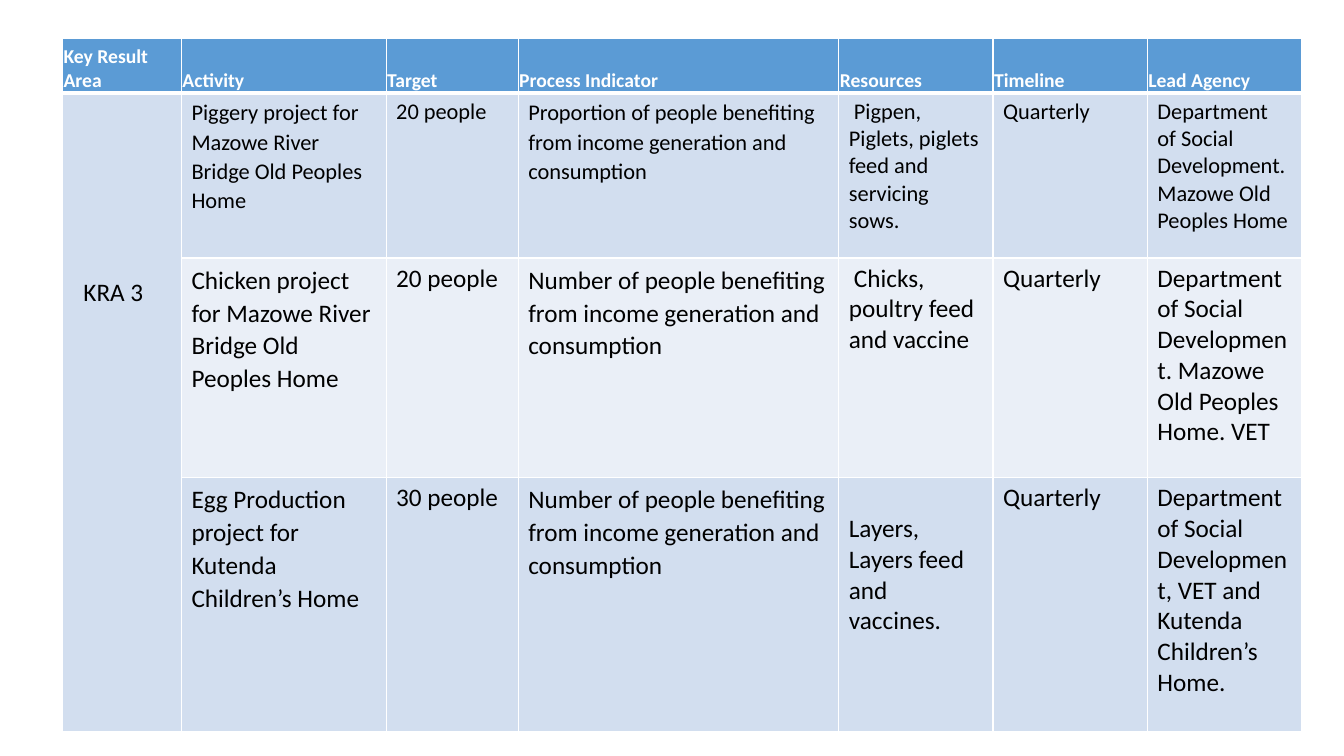
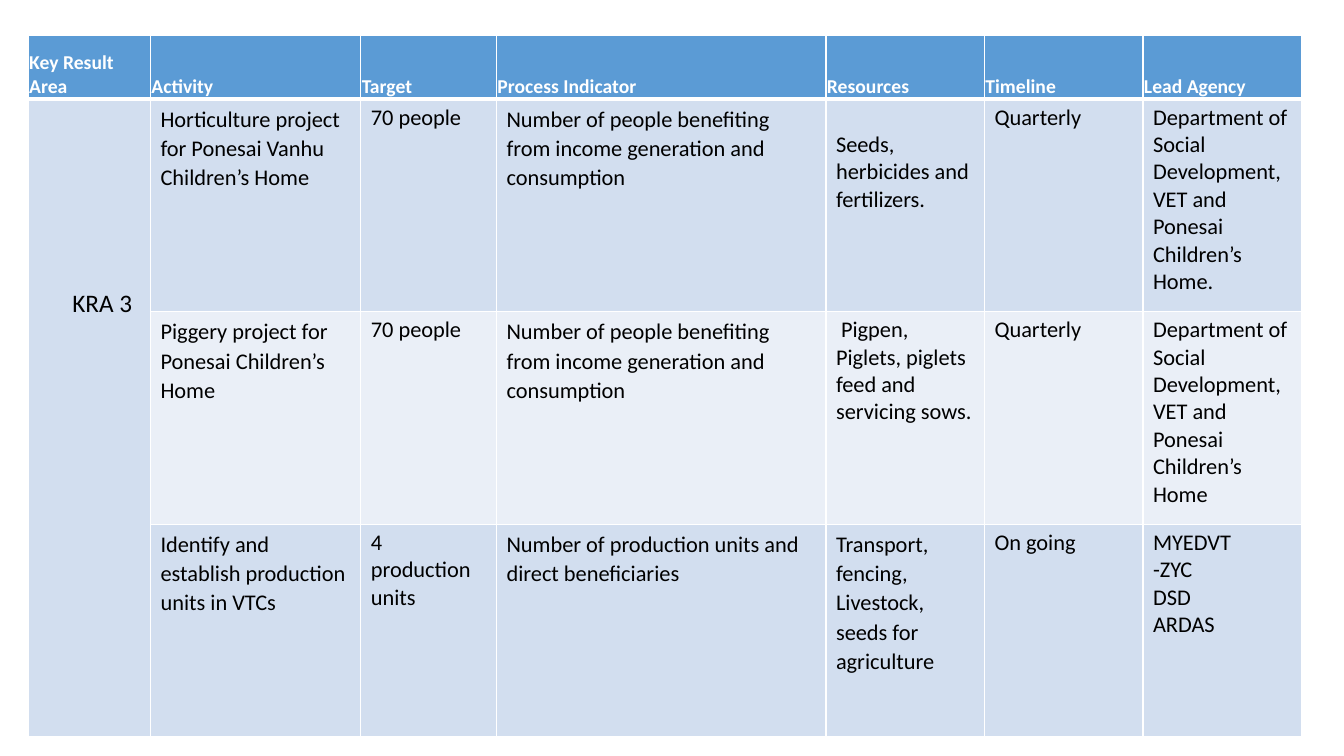
from lxml import etree
from pptx import Presentation
from pptx.dml.color import RGBColor
from pptx.enum.text import MSO_ANCHOR
from pptx.oxml.ns import qn
from pptx.util import Inches, Pt

BOTTOM = MSO_ANCHOR.BOTTOM
SLIDE_W, SLIDE_H = 13.33, 7.5
FONT = "Calibri"
COLORS = {"header": "5B9BD5", "band": "D2DEEF", "light": "EAEFF7",
          "white": "FFFFFF", "black": "000000"}
HEADERS = ["Key Result Area", "Activity", "Target", "Process Indicator",
           "Resources", "Timeline", "Lead Agency"]
COLUMN_WEIGHTS = [1.18, 2.03, 1.31, 3.18, 1.53, 1.53, 1.53]
LOOSE_COLUMNS = {1, 3}
RESOURCES = 4
BENEFIT = "Number of people benefiting from income generation and consumption"
PIGS = "Pigpen, Piglets, piglets feed and servicing sows."

PLANS = [
    {
        "left": 0.62, "top": 0.38, "width": 12.29,
        "heights": [0.54, 1.64, 2.18, 2.52],
        "label": (0.73, 2.69, 0.94, 0.4),
        "rows": [
            {"size": 16, "indent": True, "texts": [
                "Piggery project for Mazowe River Bridge Old Peoples Home",
                "20 people",
                "Proportion of people benefiting from income generation and consumption",
                PIGS, "Quarterly",
                "Department of Social Development. Mazowe Old Peoples Home"]},
            {"size": 18, "indent": True, "texts": [
                "Chicken project for Mazowe River Bridge Old Peoples Home",
                "20 people", BENEFIT, "Chicks, poultry feed and vaccine", "Quarterly",
                "Department of Social Development. Mazowe Old Peoples Home. VET"]},
            {"size": 18, "drop": True, "texts": [
                "Egg Production project for Kutenda Children’s Home",
                "30 people", BENEFIT, "Layers, Layers feed and vaccines.", "Quarterly",
                "Department of Social Development, VET and Kutenda Children’s Home."]},
        ],
    },
    {
        "left": 0.28, "top": 0.35, "width": 12.63,
        "heights": [0.63, 2.11, 2.11, 2.11],
        "label": (0.62, 2.8, 0.87, 0.4),
        "rows": [
            {"size": 16, "drop": True, "texts": [
                "Horticulture project for Ponesai Vanhu Children’s Home",
                "70 people", BENEFIT, "Seeds, herbicides and fertilizers.", "Quarterly",
                "Department of Social Development, VET and Ponesai Children’s Home."]},
            {"size": 16, "indent": True, "texts": [
                "Piggery project for Ponesai Children’s Home",
                "70 people", BENEFIT, PIGS, "Quarterly",
                "Department of Social Development, VET and Ponesai Children’s Home"]},
            {"size": 16, "loose": True, "texts": [
                "Identify and establish production units in VTCs",
                "4 production units",
                "Number of production units and direct beneficiaries",
                "Transport, fencing, Livestock, seeds for agriculture", "On going",
                "MYEDVT\n-ZYC\nDSD\nARDAS"]},
        ],
    },
]


def rgb(name):
    return RGBColor.from_string(COLORS[name])


def write(tf, text, size, color="black", bold=False, loose=False):
    tf.text = text
    for p in tf.paragraphs:
        p.font.name, p.font.size, p.font.bold = FONT, Pt(size), bold
        p.font.color.rgb = rgb(color)
        if loose:
            p.line_spacing, p.space_after = 1.07, Pt(8)


def set_borders(cell, top=1, bottom=1):
    tcPr = cell._tc.get_or_add_tcPr()
    widths = {"a:lnL": 1, "a:lnR": 1, "a:lnT": top, "a:lnB": bottom}
    for i, (tag, width) in enumerate(widths.items()):
        ln = etree.Element(qn(tag), w=str(Pt(width)))
        fill = etree.SubElement(ln, qn("a:solidFill"))
        etree.SubElement(fill, qn("a:srgbClr"), val=COLORS["white"])
        tcPr.insert(i, ln)


def style_cell(cell, row):
    color = "header" if row == 0 else "band" if row % 2 else "light"
    cell.fill.solid()
    cell.fill.fore_color.rgb = rgb(color)
    set_borders(cell, top=3 if row == 1 else 1, bottom=3 if row == 0 else 1)


def fill_header(table):
    for cell, text in zip(table.rows[0].cells, HEADERS):
        write(cell.text_frame, text, 14, "white", True)
        cell.vertical_anchor = BOTTOM
        cell.margin_left = cell.margin_top = cell.margin_right = Inches(0.01)
        cell.margin_bottom = 0


def fill_row(table, row, data):
    size = data["size"]
    for col, text in enumerate(data["texts"], 1):
        cell = table.cell(row, col)
        resources = col == RESOURCES
        loose = col in LOOSE_COLUMNS or (resources and data.get("loose", False))
        write(cell.text_frame, text, size, loose=loose)
        if resources and data.get("indent"):
            pPr = cell.text_frame.paragraphs[0]._p.get_or_add_pPr()
            pPr.set("indent", str(Inches(0.05)))
        if resources and data.get("drop"):
            cell.margin_top = Inches(0.05) + Pt(size * 1.22)


def add_plan_table(s, plan):
    heights = plan["heights"]
    frame = s.shapes.add_table(
        len(heights), len(HEADERS), Inches(plan["left"]), Inches(plan["top"]),
        Inches(plan["width"]), Inches(sum(heights)))
    table = frame.table
    table.horz_banding = False
    for column, weight in zip(table.columns, COLUMN_WEIGHTS):
        column.width = Inches(plan["width"] * weight / sum(COLUMN_WEIGHTS))
    for i, (row, height) in enumerate(zip(table.rows, heights)):
        row.height = Inches(height)
        for cell in row.cells:
            style_cell(cell, i)
    table.cell(1, 0).merge(table.cell(len(heights) - 1, 0))
    fill_header(table)
    for i, data in enumerate(plan["rows"], 1):
        fill_row(table, i, data)


def add_label(s, box, text):
    tf = s.shapes.add_textbox(*map(Inches, box)).text_frame
    tf.word_wrap = True
    write(tf, text, 18)


def main():
    prs = Presentation()
    prs.slide_width, prs.slide_height = Inches(SLIDE_W), Inches(SLIDE_H)
    for plan in PLANS:
        s = prs.slides.add_slide(prs.slide_layouts[6])
        add_plan_table(s, plan)
        add_label(s, plan["label"], "KRA 3")
    prs.save("out.pptx")


if __name__ == "__main__":
    main()
